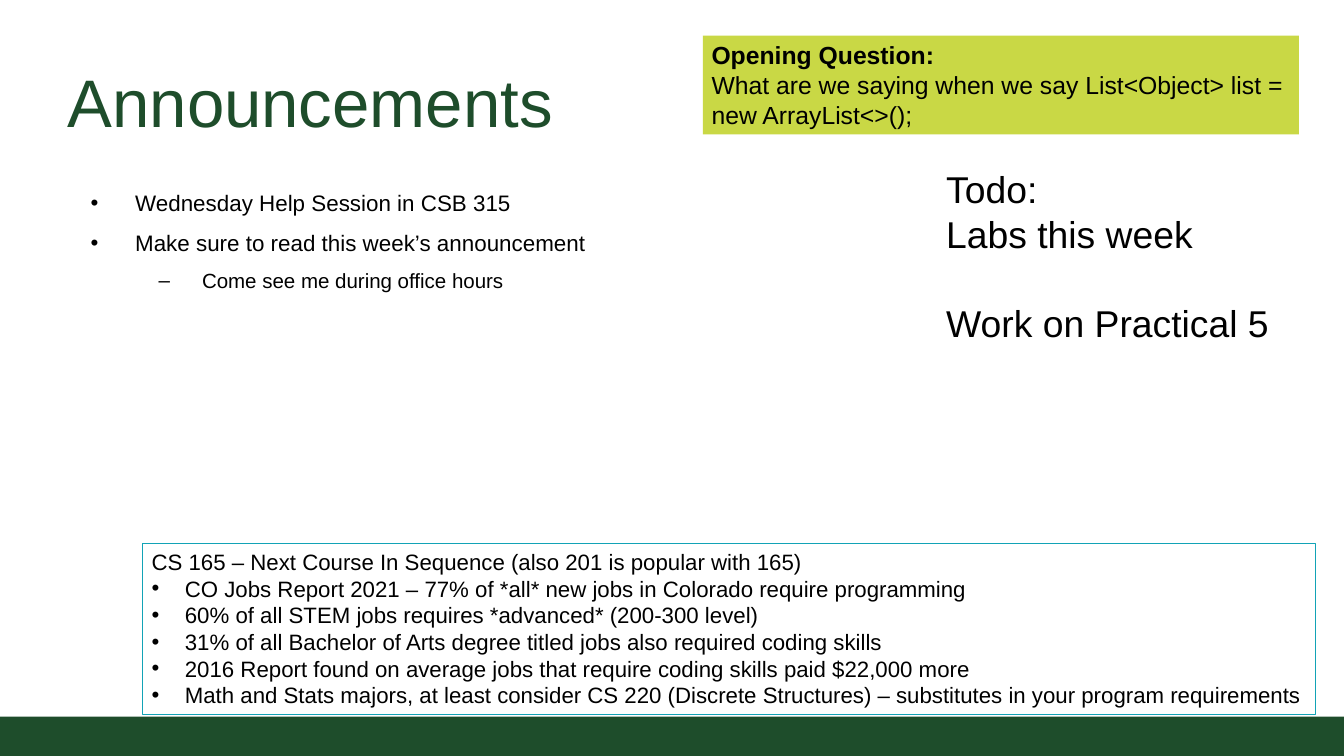
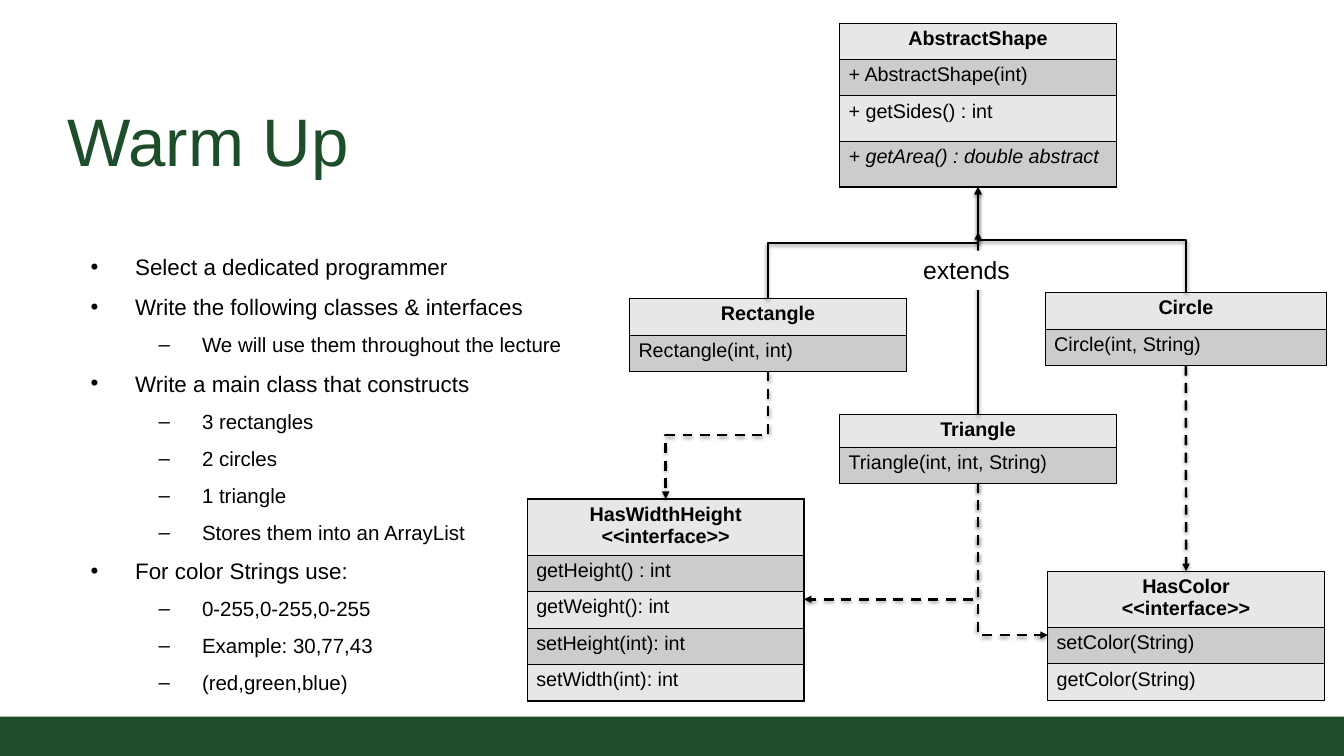
from lxml import etree
from pptx import Presentation
from pptx.dml.color import RGBColor
from pptx.enum.dml import MSO_LINE
from pptx.enum.shapes import MSO_CONNECTOR, MSO_SHAPE
from pptx.enum.text import MSO_ANCHOR, MSO_AUTO_SIZE, PP_ALIGN
from pptx.oxml import parse_xml
from pptx.oxml.ns import nsdecls, qn
from pptx.util import Cm, Pt

GREEN = RGBColor(0x1E, 0x4D, 0x2B)
LIME = RGBColor(0xC9, 0xD8, 0x45)
TEAL = RGBColor(0x12, 0xA3, 0xB6)
BLACK = RGBColor(0, 0, 0)
WHITE = RGBColor(0xFF, 0xFF, 0xFF)
LIGHT_GREY = RGBColor(0xE7, 0xE7, 0xE7)
MID_GREY = RGBColor(0xCC, 0xCC, 0xCC)
FONT = "Arial"
SLIDE_WIDTH, SLIDE_HEIGHT = 38.38, 21.59
ROW = 1.04
TALL_ROW = 1.3
INTERFACE_HEADER = 1.57
# bullet, left margin, hanging indent, text size per outline level
OUTLINE_LEVELS = [("•", 1.93, 1.27, 18.1), ("–", 3.84, 1.24, 16.6)]


def style_runs(paragraph, size, color=BLACK, bold=False, italic=False):
    for run in paragraph.runs:
        font = run.font
        font.name, font.size = FONT, Pt(size)
        font.bold, font.italic = bold, italic
        font.color.rgb = color


def set_insets(frame, inset):
    frame.margin_left = frame.margin_right = Cm(inset)
    frame.margin_top = frame.margin_bottom = Cm(inset)


def add_bullet(paragraph, bullet, margin, hanging):
    properties = paragraph._p.get_or_add_pPr()
    properties.set("marL", str(Cm(margin)))
    properties.set("indent", str(-Cm(hanging)))
    color = etree.SubElement(properties, qn("a:buClr"))
    etree.SubElement(color, qn("a:srgbClr"), val=str(BLACK))
    etree.SubElement(properties, qn("a:buFont"), typeface=FONT)
    etree.SubElement(properties, qn("a:buChar"), char=bullet)


def add_band_to_master(prs, slide):
    """Build the footer band on a slide, then move it to the master."""
    band = slide.shapes.add_shape(MSO_SHAPE.RECTANGLE, 0, Cm(20.47),
                                  Cm(SLIDE_WIDTH), Cm(1.12))
    band.shadow.inherit = False
    band.fill.solid()
    band.fill.fore_color.rgb = GREEN
    band.line.fill.background()
    band.element.nvSpPr.cNvPr.set("id", "20")
    prs.slide_master.element.cSld.spTree.append(band.element)


def set_title(slide, text, left, top, width, height):
    title = slide.shapes.title
    title.left, title.top = Cm(left), Cm(top)
    title.width, title.height = Cm(width), Cm(height)
    frame = title.text_frame
    frame.text = text
    frame.auto_size = MSO_AUTO_SIZE.NONE
    frame.vertical_anchor = MSO_ANCHOR.BOTTOM
    set_insets(frame, 0.18)
    frame.paragraphs[0].alignment = PP_ALIGN.LEFT
    style_runs(frame.paragraphs[0], 54.4, GREEN)


def add_outline(slide, items, left, top, width, height):
    """Add a bulleted list from (level, text) pairs."""
    frame = slide.shapes.add_textbox(Cm(left), Cm(top), Cm(width),
                                     Cm(height)).text_frame
    frame.word_wrap = True
    set_insets(frame, 0.18)
    frame.text = "\n".join(text for _, text in items)
    for index, (paragraph, (level, _)) in enumerate(zip(frame.paragraphs, items)):
        bullet, margin, hanging, size = OUTLINE_LEVELS[level]
        paragraph.level = level
        paragraph.line_spacing = 1.2
        paragraph.space_before = Pt(6 if index else 0)
        add_bullet(paragraph, bullet, margin, hanging)
        style_runs(paragraph, size)


def add_panel(slide, lines, size, left, top, width, height, fill=None, line=None):
    """Add a left-aligned text rectangle and return its paragraphs."""
    panel = slide.shapes.add_shape(MSO_SHAPE.RECTANGLE, Cm(left), Cm(top),
                                   Cm(width), Cm(height))
    panel.shadow.inherit = False
    if fill is None:
        panel.fill.background()
    else:
        panel.fill.solid()
        panel.fill.fore_color.rgb = fill
    if line is None:
        panel.line.fill.background()
    else:
        panel.line.color.rgb = line
        panel.line.width = Pt(0.75)
    frame = panel.text_frame
    frame.word_wrap = True
    frame.auto_size = MSO_AUTO_SIZE.SHAPE_TO_FIT_TEXT
    frame.vertical_anchor = MSO_ANCHOR.TOP
    frame.text = "\n".join(lines)
    for paragraph in frame.paragraphs:
        paragraph.alignment = PP_ALIGN.LEFT
        style_runs(paragraph, size)
    return frame.paragraphs


def border_cell(cell):
    properties = cell._tc.get_or_add_tcPr()
    for side in ("lnL", "lnR", "lnT", "lnB"):
        properties.append(parse_xml(
            f'<a:{side} {nsdecls("a")} w="{Pt(1)}"><a:solidFill>'
            f'<a:srgbClr val="{BLACK}"/></a:solidFill></a:{side}>'))


def add_class_table(slide, left, top, rows, heights, width=7.9, abstract=()):
    """Add a UML class table; the members listed in abstract are italic."""
    class_box = slide.shapes.add_table(len(rows), 1, Cm(left), Cm(top), Cm(width),
                                       Cm(sum(heights)))
    table = class_box.table
    table.first_row = table.horz_banding = False
    for index, (text, height) in enumerate(zip(rows, heights)):
        table.rows[index].height = Cm(height)
        cell = table.cell(index, 0)
        border_cell(cell)
        cell.fill.solid()
        cell.fill.fore_color.rgb = MID_GREY if index % 2 else LIGHT_GREY
        cell.text_frame.text = text
        for paragraph in cell.text_frame.paragraphs:
            paragraph.alignment = PP_ALIGN.LEFT if index else PP_ALIGN.CENTER
            style_runs(paragraph, 16, bold=index == 0, italic=text in abstract)
    return class_box


def top_of(box):
    return box.left + box.width // 2, box.top


def bottom_of(box):
    return box.left + box.width // 2, box.top + box.height


def left_of(box):
    return box.left, box.top + box.height // 2


def right_of(box):
    return box.left + box.width, box.top + box.height // 2


def style_arrow(arrow, dashed):
    arrow.line.color.rgb = BLACK
    arrow.line.width = Pt(2)
    if dashed:
        arrow.line.dash_style = MSO_LINE.DASH
    properties = arrow.element.spPr
    etree.SubElement(properties.find(qn("a:ln")), qn("a:tailEnd"), type="triangle")
    properties.append(parse_xml(
        f'<a:effectLst {nsdecls("a")}><a:outerShdw blurRad="{Pt(3.1)}" '
        f'dist="{Pt(1.6)}" dir="5400000" rotWithShape="0"><a:srgbClr val="{BLACK}">'
        '<a:alpha val="38000"/></a:srgbClr></a:outerShdw></a:effectLst>'))


def add_straight_arrow(slide, start, end, dashed=False):
    arrow = slide.shapes.add_connector(MSO_CONNECTOR.STRAIGHT, *start, *end)
    style_arrow(arrow, dashed)


def add_elbow_arrow(slide, start, end, dashed=False, bends=2):
    """Leave start vertically: an elbow laid out sideways, turned by 90 degrees."""
    (x1, y1), (x2, y2) = start, end
    center_x, center_y = (x1 + x2) // 2, (y1 + y2) // 2
    half_dx, half_dy = (x2 - x1) // 2, (y2 - y1) // 2
    arrow = slide.shapes.add_connector(
        MSO_CONNECTOR.ELBOW, center_x - half_dy, center_y + half_dx,
        center_x + half_dy, center_y - half_dx)
    properties = arrow.element.spPr
    properties.find(qn("a:xfrm")).set("rot", "5400000")
    properties.find(qn("a:prstGeom")).set("prst", f"bentConnector{bends + 1}")
    style_arrow(arrow, dashed)


def build_announcements(slide):
    set_title(slide, "Announcements", 1.75, 1.68, 15.67, 2.54)
    add_outline(slide, [
        (0, "Wednesday Help Session in CSB 315"),
        (0, "Make sure to read this week’s announcement"),
        (1, "Come see me during office hours"),
    ], 1.75, 5.08, 24.18, 8.74)

    todo = add_panel(slide, ["Todo:", "Labs this week", "Work on Practical 5"],
                     30.2, 26.77, 4.62, 10.82, 5.44)
    todo[-1].space_before = Pt(36)

    question = add_panel(slide, [
        "Opening Question:",
        "What are we saying when we say List<Object> list = new ArrayList<>();",
    ], 20, 20.07, 1.02, 17.02, 2.82, fill=LIME)
    style_runs(question[0], 20, bold=True)

    courses = add_panel(slide, [
        "CS 165 – Next Course In Sequence (also 201 is popular with 165)",
        "CO Jobs Report 2021 – 77% of *all* new jobs in Colorado require programming",
        "60% of all STEM jobs requires *advanced* (200-300 level)",
        "31% of all Bachelor of Arts degree titled jobs also required coding skills",
        "2016 Report found on average jobs that require coding skills paid $22,000 more",
        "Math and Stats majors, at least consider CS 220 (Discrete Structures) – "
        "substitutes in your program requirements",
    ], 18, 4.08, 15.53, 33.5, 4.88, line=TEAL)
    for fact in courses[1:]:
        add_bullet(fact, "•", 0.95, 0.95)


def build_warm_up(slide):
    set_title(slide, "Warm Up", 1.75, 2.51, 34.9, 2.82)
    add_outline(slide, [
        (0, "Select a dedicated programmer"),
        (0, "Write the following classes & interfaces"),
        (1, "We will use them throughout the lecture"),
        (0, "Write a main class that constructs"),
        (1, "3 rectangles"),
        (1, "2 circles"),
        (1, "1 triangle"),
        (1, "Stores them into an ArrayList"),
        (0, "For color Strings use:"),
        (1, "0-255,0-255,0-255"),
        (1, "Example: 30,77,43"),
        (1, "(red,green,blue)"),
    ], 1.75, 6.91, 15.44, 12.57)

    get_area = "+ getArea() : double abstract"
    abstract_shape = add_class_table(
        slide, 23.98, 0.66,
        ["AbstractShape", "+ AbstractShape(int)", "+ getSides() : int", get_area],
        [ROW, ROW, TALL_ROW, TALL_ROW], abstract=[get_area])
    circle = add_class_table(slide, 29.85, 8.36, ["Circle", "Circle(int, String)"],
                             [ROW, ROW], width=8.03)
    triangle = add_class_table(slide, 23.98, 11.84,
                               ["Triangle", "Triangle(int, int, String)"], [0.9, ROW])
    rectangle = add_class_table(slide, 17.98, 8.53,
                                ["Rectangle", "Rectangle(int, int)"], [ROW, ROW])
    has_width_height = add_class_table(
        slide, 15.06, 14.25,
        ["HasWidthHeight\n<<interface>>", "getHeight() : int", "getWeight(): int",
         "setHeight(int): int", "setWidth(int): int"],
        [INTERFACE_HEADER] + [ROW] * 4)
    has_color = add_class_table(
        slide, 29.92, 16.31,
        ["HasColor\n<<interface>>", "setColor(String)", "getColor(String)"],
        [INTERFACE_HEADER] + [ROW] * 2)

    parent = bottom_of(abstract_shape)
    for child in (rectangle, circle):
        add_elbow_arrow(slide, top_of(child), parent)
    add_straight_arrow(slide, top_of(triangle), (parent[0], Cm(6.63)))
    add_panel(slide, ["extends"], 20, 26.11, 7.16, 3.38, 1.12, fill=WHITE)

    add_elbow_arrow(slide, bottom_of(rectangle), top_of(has_width_height), dashed=True)
    for side in (right_of(has_width_height), left_of(has_color)):
        add_elbow_arrow(slide, bottom_of(triangle), side, dashed=True, bends=1)
    add_straight_arrow(slide, bottom_of(circle), top_of(has_color), dashed=True)


def main():
    prs = Presentation()
    prs.slide_width, prs.slide_height = Cm(SLIDE_WIDTH), Cm(SLIDE_HEIGHT)
    title_only = prs.slide_layouts[5]
    announcements, warm_up = (prs.slides.add_slide(title_only) for _ in range(2))
    add_band_to_master(prs, announcements)
    build_announcements(announcements)
    build_warm_up(warm_up)
    prs.save("out.pptx")


if __name__ == "__main__":
    main()
